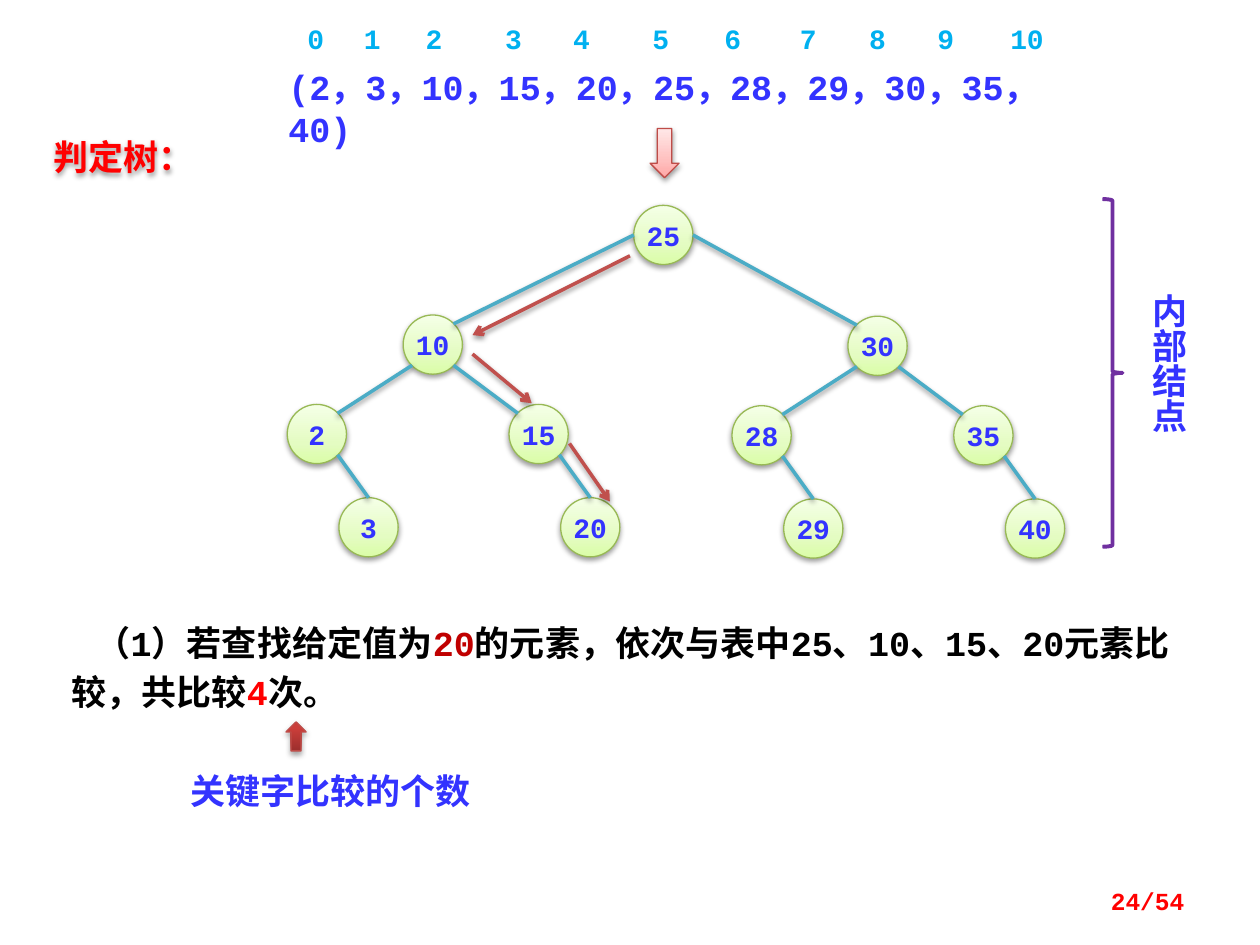
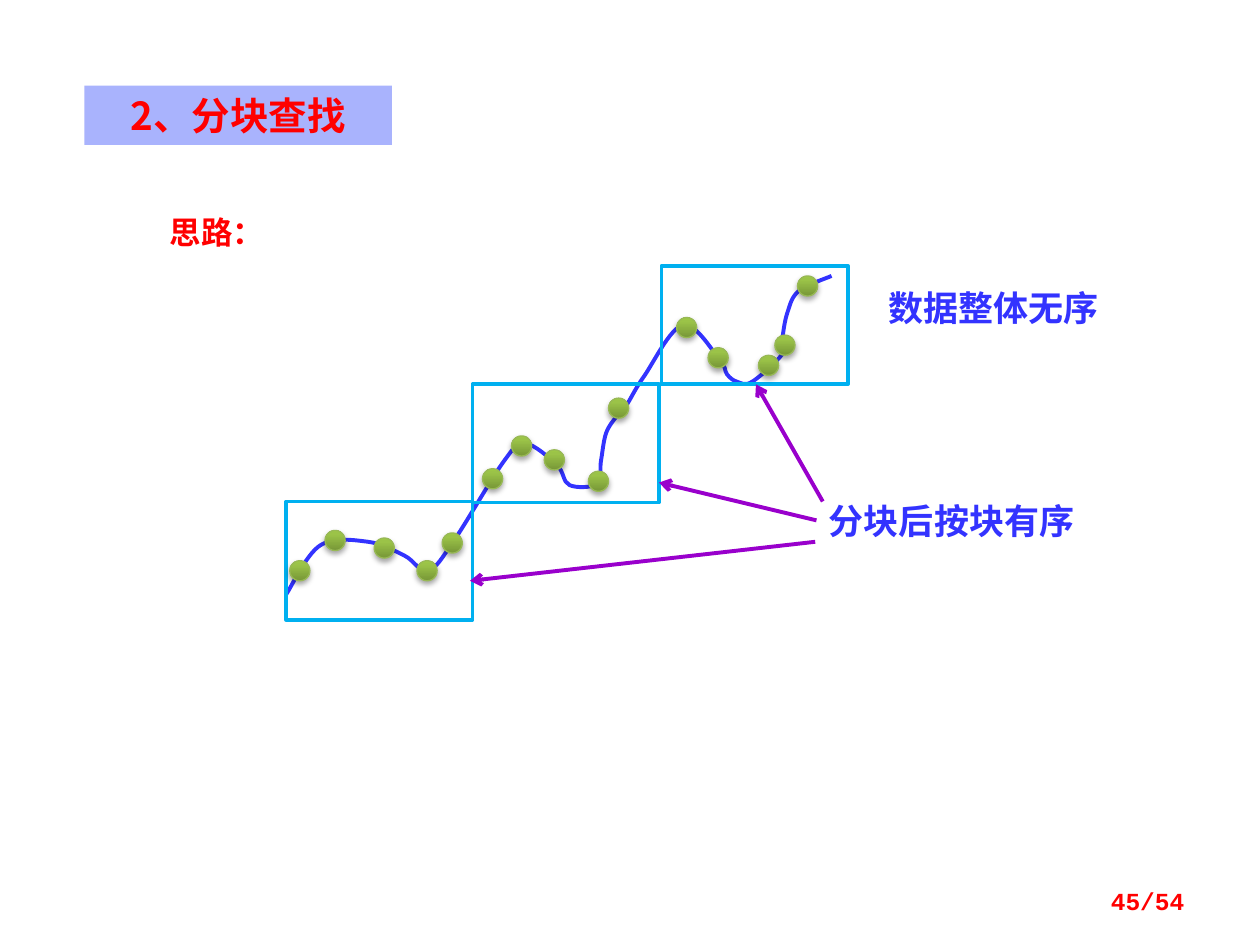
from dataclasses import dataclass

from lxml import etree
from pptx import Presentation
from pptx.dml.color import RGBColor
from pptx.enum import shapes, text
from pptx.oxml.ns import qn
from pptx.util import Inches, Pt


@dataclass(frozen=True)
class Theme:
    mono: str = "Courier New"
    sans: str = "Noto Sans CJK SC"
    blue: str = "3333FF"
    red: str = "FF0000"
    dark_red: str = "C00000"
    black: str = "000000"
    white: str = "FFFFFF"
    sky: str = "00B0F0"
    teal: str = "4BACC6"
    brick: str = "C0504D"
    brick_edge: str = "BF4C48"
    purple: str = "7030A0"
    violet: str = "9900CC"
    green_edge: str = "98B955"
    title_band: str = "A9B3FD"
    pale_green: tuple = ((0, "DAFDA7"), (35, "E4FCC2"), (100, "F5FFE7"))
    deep_green: tuple = ((0, "779737"), (80, "9BC348"), (100, "9DC746"))
    pale_red: tuple = ((0, "FFA6A5"), (35, "FFC0BF"), (100, "FFE7E7"))
    deep_red: tuple = ((0, "9C2F2D"), (80, "CB3E3A"), (100, "CE3B37"))
    heading: int = 22
    body: int = 20
    lead: int = 18
    label: int = 16
    footer: int = 14


THEME = Theme()
SHAPE = shapes.MSO_SHAPE
ALIGN = text.PP_ALIGN
ANCHOR = text.MSO_ANCHOR
PAGE_COUNT = 54


# Text helpers
def set_attributes(target, values):
    for name, value in values.items():
        setattr(target, name, value)


def write(shape, runs, size, font=THEME.mono, align=ALIGN.LEFT, leading=None, **frame_format):
    """Fill a shape with one paragraph of (wording, colour) runs."""
    frame = shape.text_frame
    set_attributes(frame, {"auto_size": text.MSO_AUTO_SIZE.NONE, "word_wrap": True,
                           "vertical_anchor": ANCHOR.MIDDLE, **frame_format})
    paragraph = frame.paragraphs[0]
    set_attributes(paragraph, {"alignment": align, "line_spacing": Pt(leading or 1.2 * size)})
    for wording, color in runs:
        run = paragraph.add_run()
        run.text = wording
        set_attributes(run.font, {"name": font, "size": Pt(size), "bold": True})
        run.font.color.rgb = RGBColor.from_string(color)
        etree.SubElement(run.font._element, qn("a:ea"), typeface=THEME.sans)
    return paragraph


def add_text(slide, box, wording, size, color, **options):
    shape = slide.shapes.add_textbox(*map(Inches, box))
    write(shape, [(wording, color)], size, **options)
    return shape


# Shape helpers
def cast_shadow(shape, opacity=38, distance=1.6):
    properties = shape._element.spPr
    effects = properties.find(qn("a:effectLst"))
    if effects is None:
        effects = etree.SubElement(properties, qn("a:effectLst"))
    shadow = etree.SubElement(effects, qn("a:outerShdw"), blurRad=str(Pt(3.1)),
                              dist=str(Pt(distance)), dir="5400000", rotWithShape="0")
    color = etree.SubElement(shadow, qn("a:srgbClr"), val=THEME.black)
    etree.SubElement(color, qn("a:alpha"), val=str(opacity * 1000))


def set_fill(shape, color):
    shape.fill.solid()
    shape.fill.fore_color.rgb = RGBColor.from_string(color)


def set_gradient(shape, stops):
    shape.fill.gradient()
    shape.fill.gradient_angle = 90
    stop_list = shape._element.spPr.find(qn("a:gradFill")).find(qn("a:gsLst"))
    for stop in list(stop_list):
        stop_list.remove(stop)
    for position, color in stops:
        stop = etree.SubElement(stop_list, qn("a:gs"), pos=str(position * 1000))
        etree.SubElement(stop, qn("a:srgbClr"), val=color)


def set_outline(shape, color, width):
    shape.line.color.rgb = RGBColor.from_string(color)
    shape.line.width = Pt(width)


def add_outline(slide, kind, box, color, width):
    shape = slide.shapes.add_shape(kind, *map(Inches, box))
    shape.shadow.inherit = False
    shape.fill.background()
    set_outline(shape, color, width)
    return shape


def add_glossy(slide, kind, box, stops, edge, **shadow):
    shape = add_outline(slide, kind, box, edge, 0.75)
    set_gradient(shape, stops)
    cast_shadow(shape, **shadow)
    return shape


def add_line(slide, start, end, color, width=2.0, arrow=False, shadow=True):
    connector = slide.shapes.add_connector(
        shapes.MSO_CONNECTOR.STRAIGHT, *map(Inches, (*start, *end)))
    set_outline(connector, color, width)
    properties = connector._element.spPr
    if arrow:
        etree.SubElement(properties.find(qn("a:ln")), qn("a:tailEnd"), type="arrow")
    if shadow:
        cast_shadow(connector)
    else:
        etree.SubElement(properties, qn("a:effectLst"))


# Parts shared by both slides
def start_slide(presentation, box, title, size, page):
    slide = presentation.slides.add_slide(presentation.slide_layouts[5])
    heading = slide.shapes.title
    set_attributes(heading, dict(zip(("left", "top", "width", "height"), map(Inches, box))))
    write(heading, [(title, THEME.red)], size, font=THEME.sans, align=ALIGN.CENTER)
    add_text(slide, (7.17, 6.95, 2.33, 0.4), f"{page}/{PAGE_COUNT}",
             THEME.footer, THEME.red, align=ALIGN.RIGHT)
    return slide


# Decision tree
NODE = 0.47
SITES = {"top": (0.5, 0), "left": (0, 0.5), "right": (1, 0.5),
         "top left": (0.15, 0.15), "top right": (0.85, 0.15),
         "bottom left": (0.15, 0.85), "bottom right": (0.85, 0.85)}


def site(node, name):
    across, down = SITES[name]
    return node[0] + across * NODE, node[1] + down * NODE


def add_node(slide, node, value):
    shape = add_glossy(slide, SHAPE.OVAL, (*node, NODE, NODE),
                       THEME.pale_green, THEME.green_edge)
    write(shape, [(str(value), THEME.blue)], THEME.label, align=ALIGN.CENTER, word_wrap=False,
          margin_left=0, margin_top=0, margin_right=0, margin_bottom=0)


def add_branch(slide, left, top, values):
    """Draw a five-node subtree and return the position of its root."""
    offsets = [(0.92, 0), (0, 0.71), (0.41, 1.45), (1.76, 0.71), (2.17, 1.45)]
    nodes = [(left + x, top + y) for x, y in offsets]
    for node, value in zip(nodes, values):
        add_node(slide, node, value)
    root, low, low_child, high, high_child = nodes
    for parent, exit_site, child, entry_site in (
            (root, "bottom left", low, "top right"),
            (root, "bottom right", high, "top left"),
            (low, "bottom right", low_child, "top"),
            (high, "bottom right", high_child, "top")):
        add_line(slide, site(parent, exit_site), site(child, entry_site), THEME.teal)
    return root


def add_tree(slide, left, top):
    root = (left + 2.75, top)
    add_node(slide, root, 25)
    low = add_branch(slide, left, top + 0.87, (10, 2, 3, 15, 20))
    high = add_branch(slide, left + 3.53, top + 0.88, (30, 28, 29, 35, 40))
    add_line(slide, site(root, "left"), site(low, "top right"), THEME.teal)
    add_line(slide, site(root, "right"), site(high, "top left"), THEME.teal)
    # Search path to 20
    for x1, y1, x2, y2 in ((2.72, 0.4, 1.47, 1.03), (1.47, 1.18, 1.94, 1.57),
                           (2.24, 1.89, 2.56, 2.35)):
        add_line(slide, (left + x1, top + y1), (left + x2, top + y2), THEME.brick, arrow=True)
    # Brace and its label
    add_outline(slide, SHAPE.RIGHT_BRACE, (left + 6.47, top - 0.05, 0.16, 2.76),
                THEME.purple, 2.25)
    label = add_text(slide, (left + 6.67, top + 0.6, 0.54, 1.41), "内部结点",
                     THEME.body, THEME.blue, font=THEME.sans, vertical_anchor=ANCHOR.TOP)
    label.text_frame._txBody.bodyPr.set("vert", "eaVert")


def add_sequence(slide, left, top):
    index_offsets = (0.15, 0.6, 1.09, 1.72, 2.26, 2.89, 3.46, 4.06, 4.61, 5.15, 5.73)
    for index, offset in enumerate(index_offsets):
        width = 0.31 if index < 10 else 0.47
        add_text(slide, (left + offset, top, width, 0.37), str(index), THEME.label, THEME.sky)
    add_text(slide, (left, top + 0.35, 6.25, 0.44), "(2，3，10，15，20，25，28，29，30，35，40)",
             THEME.body, THEME.blue, vertical_anchor=ANCHOR.TOP, margin_top=Inches(0.05))
    add_glossy(slide, SHAPE.DOWN_ARROW, (left + 2.97, top + 0.9, 0.23, 0.39),
               THEME.pale_red, THEME.brick_edge)


def add_conclusion(slide, left, top):
    panel = slide.shapes.add_shape(SHAPE.RECTANGLE, *map(Inches, (left, top, 8.91, 0.91)))
    panel.shadow.inherit = False
    set_fill(panel, THEME.white)
    panel.line.fill.background()
    paragraph = write(
        panel,
        [("（1）若查找给定值为", THEME.black), ("20", THEME.dark_red),
         ("的元素，依次与表中25、10、15、20元素比较，共比较", THEME.black),
         ("4", THEME.red), ("次。", THEME.black)],
        THEME.body, align=ALIGN.JUSTIFY, leading=28, vertical_anchor=ANCHOR.TOP,
        margin_top=Inches(0.07), margin_bottom=Inches(0.07))
    paragraph._p.get_or_add_pPr().set("indent", str(Inches(0.19)))
    add_glossy(slide, SHAPE.UP_ARROW, (left + 1.8, top + 0.92, 0.16, 0.23),
               THEME.deep_red, THEME.brick_edge, opacity=35, distance=1.8)
    add_text(slide, (left + 0.94, top + 1.24, 2.81, 0.44), "关键字比较的个数",
             THEME.body, THEME.blue)


def build_tree_slide(presentation):
    slide = start_slide(presentation, (0.16, 1.02, 1.64, 0.44), "判定树：", THEME.body, 24)
    cast_shadow(slide.shapes.title)
    add_conclusion(slide, 0.47, 4.81)
    add_tree(slide, 2.28, 1.63)
    add_sequence(slide, 2.19, 0.12)


# Block search
CURVE_KNOTS = [
    (0, 2.61), (0.27, 2.22), (0.65, 2.19), (0.94, 2.3), (1.13, 2.42), (1.34, 2.17),
    (1.73, 1.55), (1.9, 1.41), (2.15, 1.58), (2.25, 1.74), (2.47, 1.73), (2.5, 1.55),
    (2.54, 1.33), (2.62, 1.2), (2.7, 1.11), (2.84, 0.88), (3.15, 0.47), (3.44, 0.74),
    (3.5, 0.86), (3.58, 0.92), (3.7, 0.92), (3.94, 0.7), (3.94, 0.58), (3.98, 0.37),
    (4.07, 0.2), (4.33, 0.08)]
DOTS = [
    (0.03, 2.34), (0.31, 2.1), (0.7, 2.16), (1.04, 2.34), (1.24, 2.12),
    (1.56, 1.61), (1.79, 1.35), (2.05, 1.46), (2.4, 1.63), (2.56, 1.05),
    (3.1, 0.41), (3.35, 0.65), (3.75, 0.71), (3.88, 0.55), (4.06, 0.08)]
BLOCKS = [(0, 1.87), (1.48, 0.94), (2.98, 0)]


def bend_segments(curve):
    """Turn the straight segments of a freeform into one smooth run of Bezier curves."""
    knots = [(int(point.get("x")), int(point.get("y")))
             for point in curve._element.iter(qn("a:pt"))]
    padded = [knots[0], *knots, knots[-1]]
    segments = list(curve._element.iter(qn("a:lnTo")))
    for segment, window in zip(segments, zip(padded, padded[1:], padded[2:], padded[3:])):
        before, start, end, after = window
        controls = (
            [s + (e - b) / 6 for b, s, e in zip(before, start, end)],
            [e - (a - s) / 6 for s, e, a in zip(start, end, after)],
            end)
        bezier = etree.Element(qn("a:cubicBezTo"))
        for x, y in controls:
            etree.SubElement(bezier, qn("a:pt"), x=str(round(x)), y=str(round(y)))
        segment.getparent().replace(segment, bezier)


def add_blocks(slide, left, top):
    # Data curve
    points = [(Inches(left + x), Inches(top + y)) for x, y in CURVE_KNOTS]
    builder = slide.shapes.build_freeform(*points[0])
    builder.add_line_segments(points[1:], close=False)
    curve = builder.convert_to_shape()
    bend_segments(curve)
    curve.shadow.inherit = False
    curve.fill.background()
    set_outline(curve, THEME.blue, 2.25)
    # Rising blocks, then the data points
    for x, y in BLOCKS:
        add_outline(slide, SHAPE.RECTANGLE, (left + x, top + y, 1.48, 0.94), THEME.sky, 2)
    for x, y in DOTS:
        add_glossy(slide, SHAPE.OVAL, (left + x, top + y, 0.16, 0.16),
                   THEME.deep_green, THEME.green_edge, opacity=35, distance=1.8)
    # Notes and pointers
    for x, y, width, wording in ((4.68, 0.11, 2.11, "数据整体无序"),
                                 (4.21, 1.8, 2.58, "分块后按块有序")):
        add_text(slide, (left + x, top + y, width, 0.44), wording,
                 THEME.body, THEME.blue, font=THEME.sans)
    for x1, y1, x2, y2 in ((4.2, 2.19, 1.46, 2.5), (4.21, 2.02, 2.96, 1.72),
                           (4.26, 1.87, 3.73, 0.94)):
        add_line(slide, (left + x1, top + y1), (left + x2, top + y2),
                 THEME.violet, 2.25, arrow=True, shadow=False)


def build_block_slide(presentation):
    slide = start_slide(presentation, (0.67, 0.68, 2.44, 0.47), "2、分块查找", THEME.heading, 45)
    set_fill(slide.shapes.title, THEME.title_band)
    add_text(slide, (1.25, 1.64, 1.52, 0.4), "思路：", THEME.lead, THEME.red, font=THEME.sans)
    add_blocks(slide, 2.27, 2.11)


def main():
    presentation = Presentation()
    presentation.slide_width, presentation.slide_height = Inches(10), Inches(7.5)
    build_tree_slide(presentation)
    build_block_slide(presentation)
    presentation.save("out.pptx")


if __name__ == "__main__":
    main()
